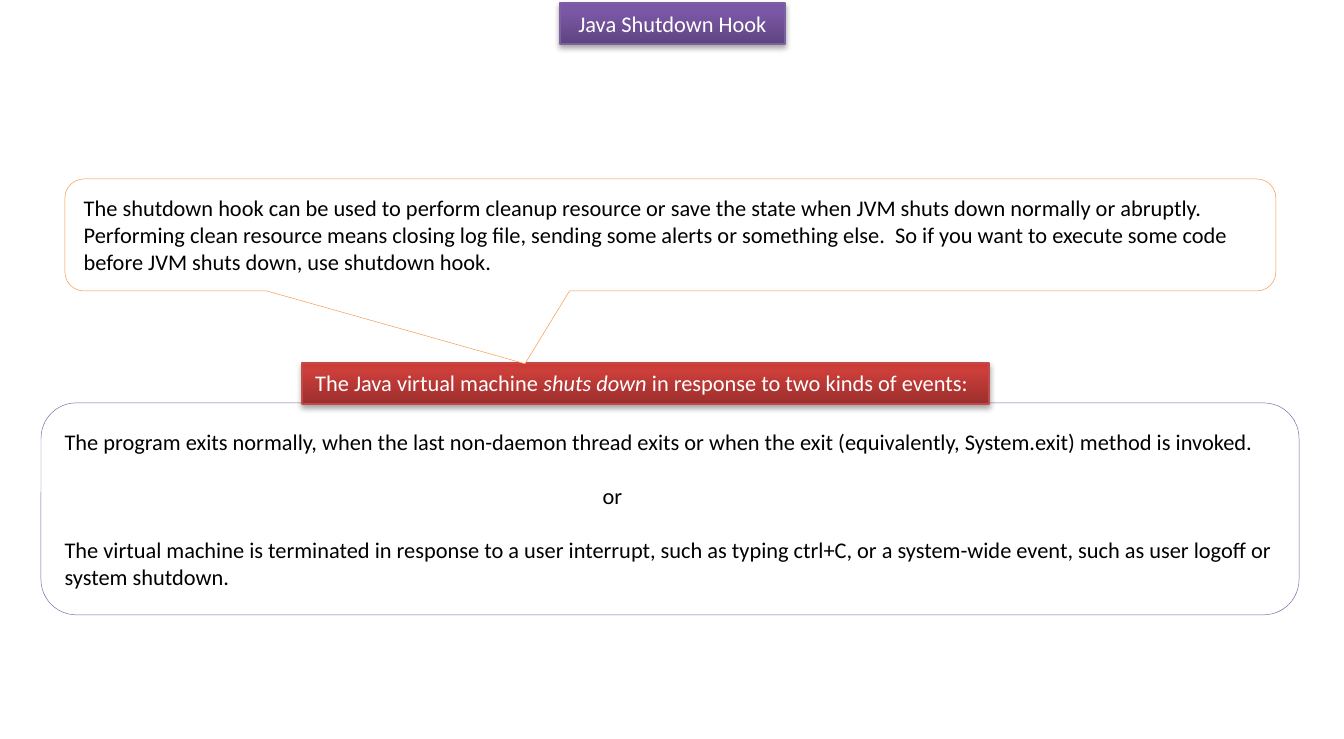
from lxml.etree import SubElement
from pptx import Presentation
from pptx.dml.color import RGBColor
from pptx.enum.shapes import MSO_SHAPE as SHAPE
from pptx.enum.text import MSO_ANCHOR as ANCHOR, PP_ALIGN as ALIGN
from pptx.oxml.ns import qn
from pptx.util import Pt

EMU_PER_PX = 914400 / 134.4
FONT, SIZE = "Calibri", 12
LINE_GAP = 14.6
PURPLE = ("5F4480", "7B58A6", "7C57A8")
RED = ("9C2F2D", "CB3E3A", "CE3B37")


def px(n):
    """Convert pixels to EMU."""
    return round(n * EMU_PER_PX)


def rgb(value):
    """Convert a hex string to a colour."""
    return RGBColor.from_string(value)


def add_box(s, kind, at, line, weight):
    """Add an outlined shape without a theme shadow."""
    sp = s.shapes.add_shape(kind, *map(px, at))
    sp.shadow.inherit = False
    sp.line.color.rgb = rgb(line)
    sp.line.width = Pt(weight)
    sp.text_frame.word_wrap = True
    return sp


def add_text(p, runs, color, align=ALIGN.LEFT, indent=0, before=0):
    """Fill a paragraph with (text, italic) runs."""
    p.alignment = align
    if indent:
        pPr = p._p.get_or_add_pPr()
        pPr.set("marL", str(px(indent)))
        pPr.set("indent", "0")
    if before:
        p.space_before = Pt(before)
    for text, italic in runs:
        r = p.add_run()
        r.text = text
        r.font.name, r.font.size = FONT, Pt(SIZE)
        r.font.italic = italic
        r.font.color.rgb = rgb(color)


def fill_gradient(sp, colors):
    """Fill a shape with three stops running upwards."""
    sp.fill.gradient()
    sp.fill.gradient_angle = 90
    stops = sp._element.spPr.find(".//" + qn("a:gsLst"))
    for stop in list(stops):
        stops.remove(stop)
    for pos, color in zip((0, 80000, 100000), colors):
        stop = SubElement(stops, qn("a:gs"), pos=str(pos))
        SubElement(stop, qn("a:srgbClr"), val=color)


def add_shadow(sp):
    """Give a shape a soft shadow below it."""
    effects = sp._element.spPr.find(qn("a:effectLst"))
    shadow = SubElement(effects, qn("a:outerShdw"), blurRad="39000",
                        dist="23000", dir="5400000", rotWithShape="0")
    color = SubElement(shadow, qn("a:srgbClr"), val="000000")
    SubElement(color, qn("a:alpha"), val="35000")


def add_banner(s, at, colors, line, runs, align):
    """Add a gradient heading bar with white text."""
    sp = add_box(s, SHAPE.RECTANGLE, at, line, 0.75)
    fill_gradient(sp, colors)
    add_shadow(sp)
    sp.text_frame.vertical_anchor = ANCHOR.TOP
    add_text(sp.text_frame.paragraphs[0], runs, "FFFFFF", align)


def add_panel(s, kind, at, line, paragraphs):
    """Add a white panel of (text, indent, space before) paragraphs."""
    sp = add_box(s, kind, at, line, 0.25)
    sp.fill.solid()
    sp.fill.fore_color.rgb = rgb("FFFFFF")
    tf = sp.text_frame
    tf.vertical_anchor = ANCHOR.MIDDLE
    for i, (text, indent, before) in enumerate(paragraphs):
        p = tf.add_paragraph() if i else tf.paragraphs[0]
        add_text(p, [(text, False)], "000000", indent=indent, before=before)
    return sp


def main():
    """Build and save the slide."""
    prs = Presentation()
    prs.slide_width, prs.slide_height = px(1344), px(739.2)
    s = prs.slides.add_slide(prs.slide_layouts[6])

    add_banner(s, (560, 3, 225, 41), PURPLE, "7D60A0",
               [("Java Shutdown Hook", False)], ALIGN.CENTER)
    add_panel(s, SHAPE.ROUNDED_RECTANGLE, (41, 403, 1258, 212), "8064A2", [
        ("The program exits normally, when the last non-daemon thread exits or "
         "when the exit (equivalently, System.exit) method is invoked.", 0, 0),
        ("or", 538, LINE_GAP),
        ("The virtual machine is terminated in response to a user interrupt, "
         "such as typing ctrl+C, or a system-wide event, such as user logoff "
         "or system shutdown.", 0, LINE_GAP),
    ])
    add_banner(s, (302, 363, 687, 41), RED, "BF4C48", [
        ("The Java virtual machine ", False),
        ("shuts down", True),
        (" in response to two kinds of events:", False),
    ], ALIGN.LEFT)
    callout = add_panel(
        s, SHAPE.ROUNDED_RECTANGULAR_CALLOUT, (65, 179, 1211, 112), "F79646", [
            ("The shutdown hook can be used to perform cleanup resource or save "
             "the state when JVM shuts down normally or abruptly.", 0, 0),
            ("Performing clean resource means closing log file, sending some "
             "alerts or something else.  So if you want to execute some code "
             "before JVM shuts down, use shutdown hook.", 0, 0),
        ])
    for i, value in enumerate((-0.12, 1.15, 0.17)):
        callout.adjustments[i] = value

    prs.save("out.pptx")


if __name__ == "__main__":
    main()
